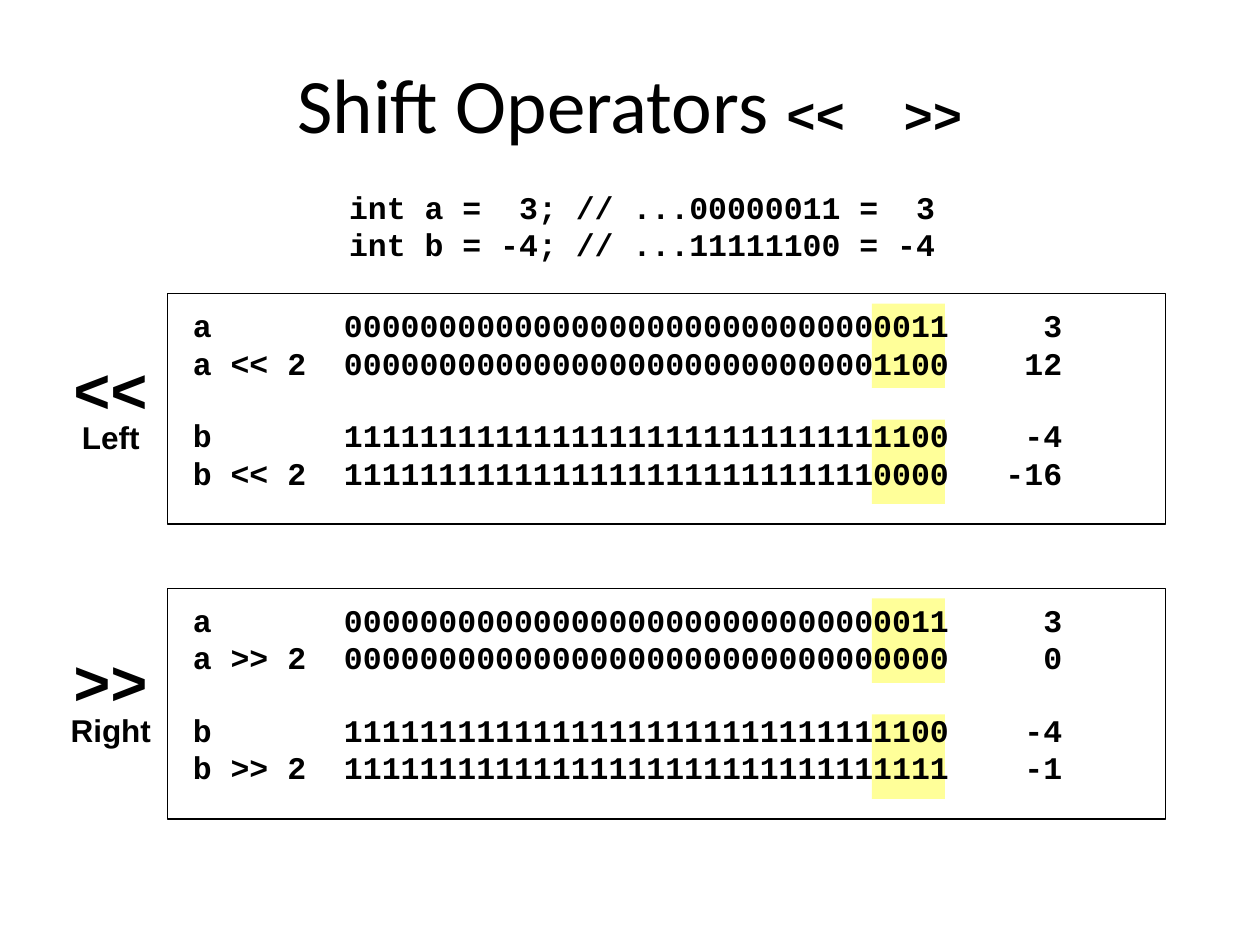
"""Build a slide that explains the left and right shift operators."""
from lxml.etree import SubElement
from pptx import Presentation
from pptx.dml.color import RGBColor
from pptx.enum.shapes import MSO_SHAPE
from pptx.enum.text import MSO_ANCHOR, MSO_AUTO_SIZE, PP_ALIGN
from pptx.oxml.ns import qn
from pptx.util import Inches, Pt

BLACK = RGBColor(0x00, 0x00, 0x00)
YELLOW = RGBColor(0xFF, 0xFF, 0x99)
CODE_FONT = "Courier New"
LINE_SPACING = 0.8
LINE_GAP = Pt(4)
GROUP_GAP = Pt(24.2)
BITS_TAB = Inches(1.2)
VALUE_TAB = Inches(6.9)

DECLARATIONS = ["int a =  3; // ...00000011 =  3", "int b = -4; // ...11111100 = -4"]
A_ROW = ("a", "0" * 30 + "11", "3")
B_ROW = ("b", "1" * 30 + "00", "-4")
PANELS = [
    (2.33, 2.85, "<<", "Left", [
        A_ROW, ("a << 2", "0" * 28 + "1100", "12"),
        B_ROW, ("b << 2", "1" * 28 + "0000", "-16")]),
    (4.67, 5.17, ">>", "Right", [
        A_ROW, ("a >> 2", "0" * 32, "0"),
        B_ROW, ("b >> 2", "1" * 32, "-1")]),
]


def format_font(font, name, size, bold=True):
    """Set the typeface, size and weight of black text."""
    font.name = name
    font.size = Pt(size)
    font.bold = bold
    font.color.rgb = BLACK


def place(shape, left, top, width, height):
    """Move and size a placeholder, in inches."""
    shape.left, shape.top = Inches(left), Inches(top)
    shape.width, shape.height = Inches(width), Inches(height)


def write_paragraphs(text_frame, texts):
    """Fill a text frame and return its paragraphs."""
    text_frame.text = "\n".join(texts)
    for paragraph in text_frame.paragraphs:
        paragraph.line_spacing = LINE_SPACING
    return text_frame.paragraphs


def add_tab_stops(paragraph):
    """Align the bits to the left and the value to the right."""
    tab_list = SubElement(paragraph._p.get_or_add_pPr(), qn("a:tabLst"))
    for position, alignment in ((BITS_TAB, "l"), (VALUE_TAB, "r")):
        SubElement(tab_list, qn("a:tab"), pos=str(position), algn=alignment)


def remove_bullet(paragraph):
    """Clear the bullet and the indent of a list paragraph."""
    properties = paragraph._p.get_or_add_pPr()
    properties.set("marL", "0")
    properties.set("indent", "0")
    SubElement(properties, qn("a:buNone"))


def write_title(title):
    """Write the title with the operators in the code font."""
    place(title, 0.75, 0.42, 8.5, 0.92)
    text_frame = title.text_frame
    text_frame.auto_size = MSO_AUTO_SIZE.NONE
    text_frame.vertical_anchor = MSO_ANCHOR.MIDDLE
    paragraph = text_frame.paragraphs[0]
    paragraph.alignment = PP_ALIGN.CENTER
    paragraph.line_spacing = LINE_SPACING
    for text, name, size, bold in (("Shift Operators ", "Calibri", 44, False),
                                   ("<<  >>", CODE_FONT, 28, True)):
        run = paragraph.add_run()
        run.text = text
        format_font(run.font, name, size, bold)


def write_declarations(body):
    """Write the variable declarations in the body placeholder."""
    place(body, 2.67, 1.5, 4.92, 0.67)
    body.text_frame.auto_size = MSO_AUTO_SIZE.NONE
    for paragraph in write_paragraphs(body.text_frame, DECLARATIONS):
        remove_bullet(paragraph)
        paragraph.space_before = LINE_GAP
        format_font(paragraph.font, CODE_FONT, 18)


def add_rectangle(slide, left, top, width, height):
    """Add a rectangle without a shadow."""
    shape = slide.shapes.add_shape(MSO_SHAPE.RECTANGLE, Inches(left), Inches(top),
                                   Inches(width), Inches(height))
    shape.shadow.inherit = False
    return shape


def add_highlight(slide, top):
    """Mark the last four bits of a pair of rows."""
    highlight = add_rectangle(slide, 6.92, top, 0.58, 0.67)
    highlight.fill.solid()
    highlight.fill.fore_color.rgb = YELLOW
    highlight.line.fill.background()


def add_bit_box(slide, top, rows):
    """Add an outlined box that lists expressions, bits and values."""
    box = add_rectangle(slide, 1.33, top, 7.92, 1.83)
    box.fill.background()
    box.line.color.rgb = BLACK
    box.line.width = Pt(0.75)
    text_frame = box.text_frame
    text_frame.word_wrap = True
    text_frame.vertical_anchor = MSO_ANCHOR.TOP
    text_frame.margin_left = text_frame.margin_right = Inches(0.2)
    text_frame.margin_top = text_frame.margin_bottom = Inches(0.16)
    paragraphs = write_paragraphs(text_frame, ["\t".join(row) for row in rows])
    for paragraph, row in zip(paragraphs, rows):
        paragraph.alignment = PP_ALIGN.LEFT
        paragraph.space_before = GROUP_GAP if row is B_ROW else LINE_GAP
        add_tab_stops(paragraph)
        format_font(paragraph.font, CODE_FONT, 18)


def add_operator_label(slide, top, operator, direction):
    """Add the operator and its direction beside a box."""
    label = slide.shapes.add_textbox(Inches(0.46), Inches(top), Inches(0.84), Inches(0.82))
    text_frame = label.text_frame
    text_frame.word_wrap = False
    text_frame.auto_size = MSO_AUTO_SIZE.SHAPE_TO_FIT_TEXT
    text_frame.margin_left = text_frame.margin_right = Inches(0.02)
    paragraphs = write_paragraphs(text_frame, [operator, direction])
    for paragraph, name, size in zip(paragraphs, (CODE_FONT, "Arial"), (36, 18)):
        paragraph.alignment = PP_ALIGN.CENTER
        format_font(paragraph.font, name, size)


def main():
    """Build and save the presentation."""
    presentation = Presentation()
    presentation.slide_width, presentation.slide_height = Inches(10), Inches(7.5)
    slide = presentation.slides.add_slide(presentation.slide_layouts[1])
    write_title(slide.shapes.title)
    write_declarations(slide.placeholders[1])
    for box_top, label_top, operator, direction, rows in PANELS:
        for offset in (0.08, 1.0):
            add_highlight(slide, box_top + offset)
        add_bit_box(slide, box_top, rows)
        add_operator_label(slide, label_top, operator, direction)
    presentation.save("out.pptx")


if __name__ == "__main__":
    main()
